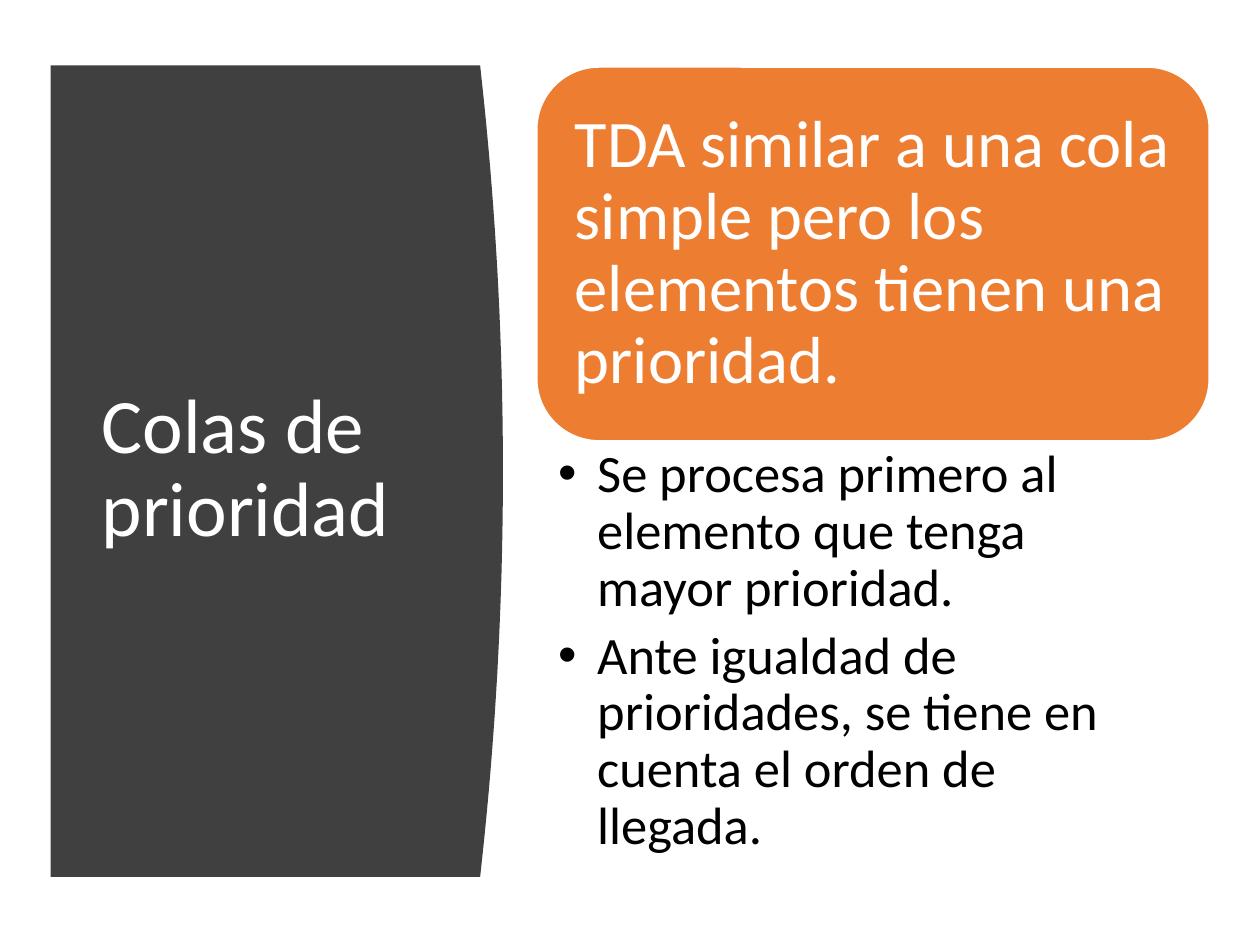
from pptx import Presentation
from pptx.dml.color import RGBColor
from pptx.enum.shapes import MSO_SHAPE
from pptx.enum.text import MSO_ANCHOR, MSO_AUTO_SIZE, PP_ALIGN
from pptx.oxml.ns import qn
from pptx.util import Cm, Pt
from lxml import etree

TITLE = "Colas de prioridad"
DEFINITION = "TDA similar a una cola simple pero los elementos tienen una prioridad."
RULES = [
    "Se procesa primero al elemento que tenga mayor prioridad.",
    "Ante igualdad de prioridades, se tiene en cuenta el orden de llegada.",
]
COLORS = {"panel": "404040", "card": "ED7D31", "light": "FFFFFF", "dark": "000000"}
FONT = "Calibri"

# Lengths in centimetres
PANEL = {"left": 1.02, "top": 1.32, "bottom": 17.68, "edge": 9.68, "bulge": 0.46}
CURVE_STEPS = 40
RIGHT_COLUMN = {"left": 10.82, "width": 13.56}
CARD_TOP, CARD_HEIGHT = 1.35, 7.54
RULES_HEIGHT = 8.74
BULLET_INDENT = 0.79


def color(name):
    return RGBColor.from_string(COLORS[name])


def place(shape, left, top, width, height):
    shape.left, shape.top = Cm(left), Cm(top)
    shape.width, shape.height = Cm(width), Cm(height)


def set_frame(frame, anchor, left, top, right, bottom):
    frame.word_wrap = True
    frame.auto_size = MSO_AUTO_SIZE.NONE
    frame.vertical_anchor = anchor
    frame.margin_left, frame.margin_top = Cm(left), Cm(top)
    frame.margin_right, frame.margin_bottom = Cm(right), Cm(bottom)


def write(paragraph, text, size, color_name):
    paragraph.alignment = PP_ALIGN.LEFT
    paragraph.line_spacing = 0.9
    run = paragraph.add_run()
    run.text = text
    run.font.name = FONT
    run.font.size = Pt(size)
    run.font.color.rgb = color(color_name)


def add_bullet(paragraph):
    properties = paragraph._p.get_or_add_pPr()
    properties.set("marL", str(Cm(BULLET_INDENT)))
    properties.set("indent", str(-Cm(BULLET_INDENT)))
    etree.SubElement(properties, qn("a:buFont"), typeface="Arial")
    etree.SubElement(properties, qn("a:buChar"), char="•")


def add_panel(slide):
    """Dark panel whose right edge bulges outwards as a parabola."""
    left, top, bottom = PANEL["left"], PANEL["top"], PANEL["bottom"]
    edge = []
    for step in range(CURVE_STEPS + 1):
        share = step / CURVE_STEPS
        x = PANEL["edge"] + PANEL["bulge"] * 4 * share * (1 - share)
        edge.append((Cm(x), Cm(top + (bottom - top) * share)))
    builder = slide.shapes.build_freeform(Cm(left), Cm(top))
    builder.add_line_segments(edge + [(Cm(left), Cm(bottom))], close=True)
    panel = builder.convert_to_shape()
    panel.shadow.inherit = False
    panel.fill.solid()
    panel.fill.fore_color.rgb = color("panel")
    panel.line.fill.background()
    return panel


def add_title(slide):
    title = slide.shapes.title
    place(title, 1.8, 2.82, 7.11, 13.31)
    set_frame(title.text_frame, MSO_ANCHOR.MIDDLE, 0.25, 0.13, 0.25, 0.13)
    write(title.text_frame.paragraphs[0], TITLE, 44, "light")
    return title


def add_card(slide):
    card = slide.shapes.add_shape(
        MSO_SHAPE.ROUNDED_RECTANGLE, Cm(RIGHT_COLUMN["left"]), Cm(CARD_TOP),
        Cm(RIGHT_COLUMN["width"]), Cm(CARD_HEIGHT))
    card.shadow.inherit = False
    card.fill.solid()
    card.fill.fore_color.rgb = color("card")
    card.line.color.rgb = color("light")
    card.line.width = Pt(1)
    set_frame(card.text_frame, MSO_ANCHOR.MIDDLE, 0.4, 0.4, 0.4, 0.4)
    write(card.text_frame.paragraphs[0], DEFINITION, 38, "light")


def add_rules(slide):
    box = slide.shapes.add_textbox(
        Cm(RIGHT_COLUMN["left"]), Cm(CARD_TOP + CARD_HEIGHT),
        Cm(RIGHT_COLUMN["width"]), Cm(RULES_HEIGHT))
    frame = box.text_frame
    set_frame(frame, MSO_ANCHOR.TOP, 0.43, 0.13, 0.76, 0.13)
    for index, rule in enumerate(RULES):
        paragraph = frame.add_paragraph() if index else frame.paragraphs[0]
        add_bullet(paragraph)
        write(paragraph, rule, 30, "dark")
        paragraph.space_after = Pt(6.5)


def main():
    presentation = Presentation()
    presentation.slide_width, presentation.slide_height = Cm(25.4), Cm(19.05)
    slide = presentation.slides.add_slide(presentation.slide_layouts[5])
    panel = add_panel(slide)
    title = add_title(slide)
    title.element.addprevious(panel.element)  # the panel lies behind the title
    add_card(slide)
    add_rules(slide)
    presentation.save("out.pptx")


if __name__ == "__main__":
    main()
